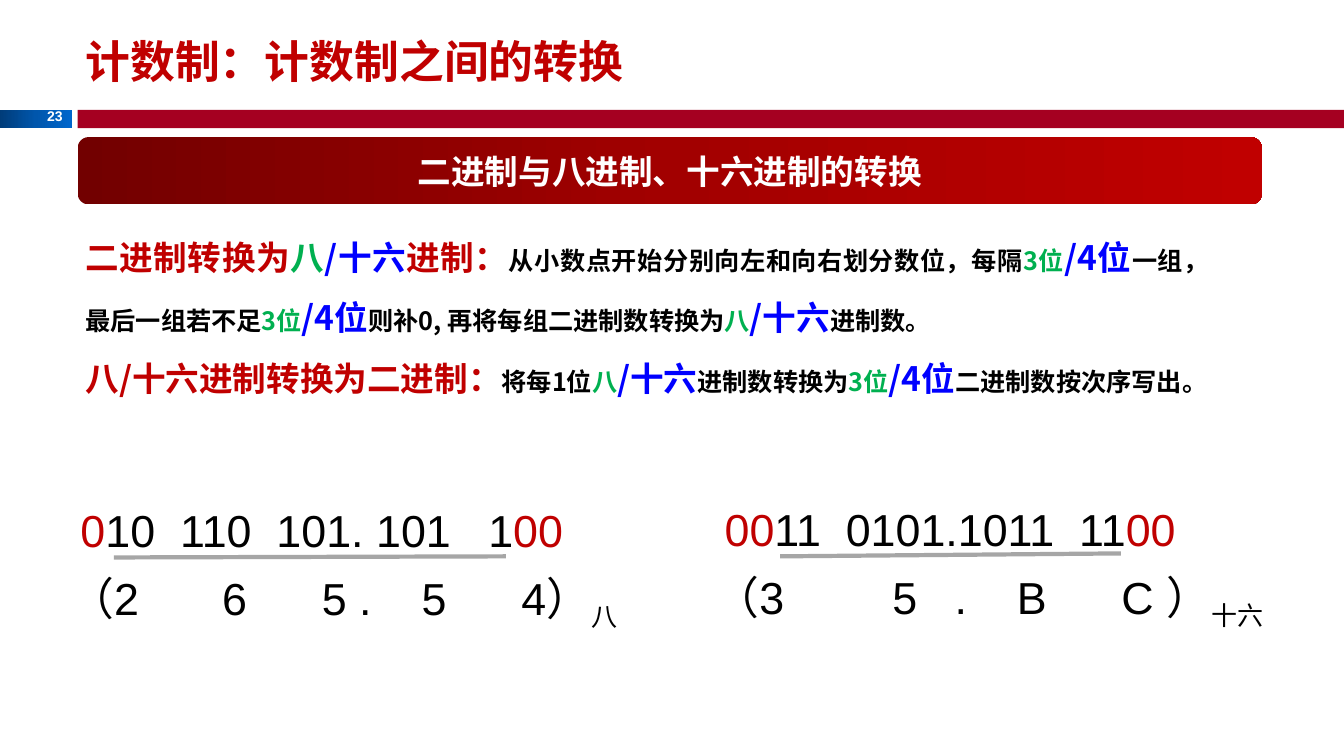
from copy import deepcopy
from typing import NamedTuple

from lxml.etree import SubElement
from pptx import Presentation
from pptx.dml.color import RGBColor
from pptx.enum.shapes import MSO_CONNECTOR, MSO_SHAPE
from pptx.enum.text import MSO_ANCHOR, PP_ALIGN
from pptx.oxml.ns import qn
from pptx.util import Pt

CJK, ARIAL = "Noto Sans CJK SC", "Arial"
RED, GREEN, BLUE = "C00000", "00B050", "0000FF"
BLACK, WHITE, GRAY = "000000", "FFFFFF", "A6A6A6"


class Box(NamedTuple):
    left: float
    top: float
    width: float
    height: float

    def pts(self) -> list:
        return [Pt(v) for v in self]


class Span(NamedTuple):
    text: str
    size: float
    color: str = BLACK
    subscript: bool = False


class DigitRow(NamedTuple):
    box: Box
    tabs: list
    spans: list


class Underline(NamedTuple):
    x1: float
    y1: float
    x2: float
    y2: float


def rgb(color: str) -> RGBColor:
    return RGBColor.from_string(color)


def write(s, *paragraphs, font=CJK, bold=True, align=PP_ALIGN.JUSTIFY,
          anchor=MSO_ANCHOR.TOP, spacing=None, tabs=(), right_inset=7.2) -> None:
    tf = s.text_frame
    tf.word_wrap = True
    tf.vertical_anchor = anchor
    tf.margin_right = Pt(right_inset)
    for i, spans in enumerate(paragraphs):
        p = tf.add_paragraph() if i else tf.paragraphs[0]
        if tabs:
            tab_list = SubElement(p._p.get_or_add_pPr(), qn("a:tabLst"))
            for pos in tabs:
                SubElement(tab_list, qn("a:tab"), pos=str(Pt(pos)), algn="l")
        p.alignment = align
        if spacing:
            p.line_spacing = spacing
        for span in spans:
            r = p.add_run()
            r.text = span.text
            r.font.size = Pt(span.size)
            r.font.bold = bold
            r.font.name = font
            r.font.color.rgb = rgb(span.color)
            SubElement(r._r.get_or_add_rPr(), qn("a:ea"), typeface=CJK)
            if span.subscript:
                r._r.get_or_add_rPr().set("baseline", "-25000")


def add_bar(slide, box: Box, *colors: str, kind=MSO_SHAPE.RECTANGLE):
    """Add a borderless shape, with an even horizontal gradient for several colours."""
    s = slide.shapes.add_shape(kind, *box.pts())
    s.shadow.inherit = False
    s.line.fill.background()
    if len(colors) == 1:
        s.fill.solid()
        s.fill.fore_color.rgb = rgb(colors[0])
        return s
    s.fill.gradient()
    s.fill.gradient_angle = 0
    stops = s._element.spPr.find(".//" + qn("a:gsLst"))
    while len(stops) < len(colors):
        stops.append(deepcopy(stops[0]))
    for i, (stop, color) in enumerate(zip(s.fill.gradient_stops, colors)):
        stop.position = i / (len(colors) - 1)
        stop.color.rgb = rgb(color)
    return s


def add_underline(slide, line: Underline) -> None:
    s = slide.shapes.add_connector(MSO_CONNECTOR.STRAIGHT, *[Pt(v) for v in line])
    s.line.color.rgb = rgb(GRAY)
    s.line.width = Pt(3)
    SubElement(s._element.spPr, qn("a:effectLst"))


def big(text: str, color: str = BLACK) -> Span:
    return Span(text, 24, color)


def small(text: str, color: str = BLACK) -> Span:
    return Span(text, 18, color)


def digits(text: str, color: str = BLACK, subscript: bool = False) -> Span:
    return Span(text, 32, color, subscript)


OCT, HEX = small("八", GREEN), big("/十六", BLUE)
GROUP = [small("3位", GREEN), big("/4位", BLUE)]
RULES = [
    [big("二进制转换为", RED), big("八", GREEN), HEX, big("进制：", RED),
     small("从小数点开始分别向左和向右划分数位，每隔"), *GROUP,
     small("一组，最后一组若不足"), *GROUP,
     small("则补0, 再将每组二进制数转换为"), OCT, HEX, small("进制数。")],
    [big("八/十六进制转换为二进制：", RED), small("将每1位"), OCT, HEX,
     small("进制数转换为"), *GROUP, small("二进制数按次序写出。")],
]
DIGIT_ROWS = [
    DigitRow(Box(510.5, 355, 339.1, 46.1), [86.6, 253.3],
             [digits("00", RED), digits("11\t0101.1011\t11"), digits("00", RED)]),
    DigitRow(Box(50.4, 355.7, 361.4, 46.1), [71.2, 140, 211.2, 291.3],
             [digits("0", RED), digits("10\t110\t101.\t101\t1"), digits("00", RED)]),
    DigitRow(Box(42.5, 403.9, 419.8, 46.1), [109.2, 180.4, 251.6, 322.8],
             [digits("（2\t6\t5 .\t5\t4）"), digits("八", subscript=True)]),
    DigitRow(Box(503.3, 403.2, 419, 46.1), [127, 171.5, 216, 290.7],
             [digits("（3\t5\t.\tB\tC ）"), digits("十六", subscript=True)]),
]
UNDERLINES = [Underline(557.3, 397.4, 800.6, 395.3), Underline(81.4, 398.2, 361.4, 397.4)]


def main() -> None:
    prs = Presentation()
    prs.slide_width, prs.slide_height = Pt(960), Pt(540)
    slide = prs.slides.add_slide(prs.slide_layouts[6])

    add_bar(slide, Box(0, 78.5, 51.1, 13), "003C79", "0056AC", "0066CC")
    add_bar(slide, Box(55.4, 78.5, 904.6, 13), "A50021")
    number = slide.shapes.add_textbox(*Box(25.2, 73.4, 26.6, 19.4).pts())
    write(number, [Span("23", 10, WHITE)], font=ARIAL, align=PP_ALIGN.RIGHT)

    title = slide.shapes.add_textbox(*Box(54, 13.7, 848.9, 59.8).pts())
    write(title, [Span("计数制：计数制之间的转换", 32, RED)], anchor=MSO_ANCHOR.MIDDLE)
    banner = add_bar(slide, Box(55.4, 97.9, 846, 48.2), "720000", "A20000", RED,
                     kind=MSO_SHAPE.ROUNDED_RECTANGLE)
    write(banner, [big("二进制与八进制、十六进制的转换", WHITE)],
          align=PP_ALIGN.CENTER, anchor=MSO_ANCHOR.MIDDLE)

    rules = slide.shapes.add_textbox(*Box(54, 151.2, 816.5, 138.2).pts())
    write(rules, *RULES, spacing=1.5)
    for row in DIGIT_ROWS:
        s = slide.shapes.add_textbox(*row.box.pts())
        write(s, row.spans, font=ARIAL, bold=False, align=PP_ALIGN.LEFT,
              tabs=row.tabs, right_inset=0)
    for line in UNDERLINES:
        add_underline(slide, line)
    prs.save("out.pptx")


if __name__ == "__main__":
    main()
